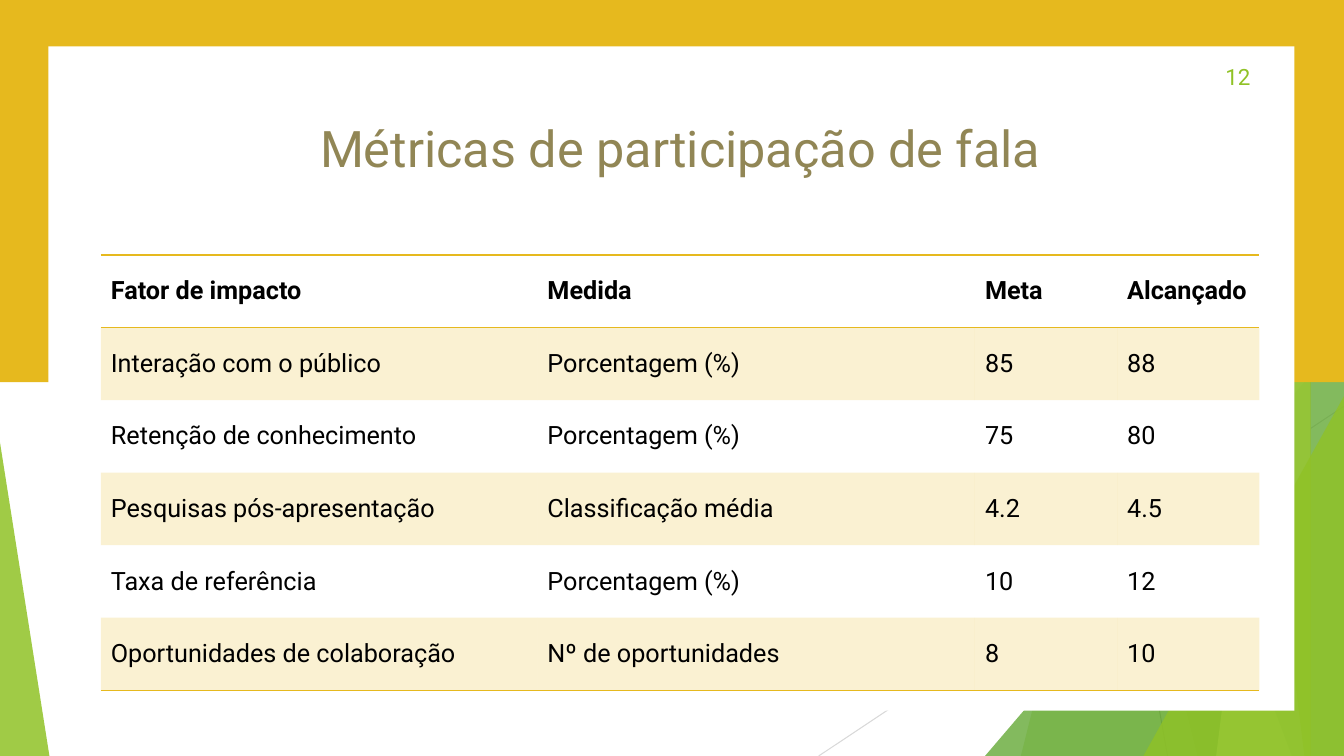
from dataclasses import dataclass

from lxml import etree
from pptx import Presentation
from pptx import util as u
from pptx.dml.color import RGBColor
from pptx.enum import shapes, text
from pptx.oxml.ns import qn


@dataclass(frozen=True)
class Theme:
    """Colours, font and type sizes of the slide."""
    font: str = "Roboto"
    gold: str = "E6B91E"
    white: str = "FFFFFF"
    black: str = "000000"
    olive: str = "918655"
    lime: str = "90C226"
    green: str = "54A021"
    forest: str = "3F7819"
    pale_lime: str = "C0E474"
    grey: str = "BFBFBF"
    light_grey: str = "D9D9D9"
    title_size: int = 36
    table_size: int = 18
    number_size: int = 16


THEME = Theme()
SLIDE_BOX = (0, 0, 13.33, 7.5)
GOLD_BOX = (0, 0, 13.33, 3.79)
PANEL_BOX = (0.48, 0.46, 12.36, 6.59)
TITLE_BOX = (1, 1.16, 11.5, 1.11)
TABLE_BOX = (1, 2.53, 11.49, 4.32)
NUMBER_BOX = (11.33, 0.5, 1.17, 0.52)

COLUMN_WIDTHS = (4.33, 4.34, 1.41, 1.41)
METRICS = (
    ("Fator de impacto", "Medida", "Meta", "Alcançado"),
    ("Interação com o público", "Porcentagem (%)", "85", "88"),
    ("Retenção de conhecimento", "Porcentagem (%)", "75", "80"),
    ("Pesquisas pós-apresentação", "Classificação média", "4.2", "4.5"),
    ("Taxa de referência", "Porcentagem (%)", "10", "12"),
    ("Oportunidades de colaboração", "Nº de oportunidades", "8", "10"),
)


def inches(box):
    """Turn a box in inches into lengths."""
    return [u.Inches(value) for value in box]


def set_fill(fill, parent, color, opacity=100):
    """Fill with a solid colour, see-through below 100 percent."""
    fill.solid()
    fill.fore_color.rgb = RGBColor.from_string(color)
    if opacity < 100:
        color_element = parent.find(qn("a:solidFill"))[0]
        etree.SubElement(color_element, qn("a:alpha"), val=str(opacity * 1000))


def paint(shape, color, opacity=100):
    """Give a shape a flat fill without line or shadow."""
    shape.shadow.inherit = False
    shape.line.fill.background()
    set_fill(shape.fill, shape.element.spPr, color, opacity)


def format_text(frame, content, size, color, bold=False, align=text.PP_ALIGN.LEFT):
    """Write one formatted paragraph into a text frame."""
    paragraph = frame.paragraphs[0]
    paragraph.alignment = align
    run = paragraph.add_run()
    run.text = content
    values = {"name": THEME.font, "size": u.Pt(size), "bold": bold}
    for name, value in values.items():
        setattr(run.font, name, value)
    run.font.color.rgb = RGBColor.from_string(color)


def set_frame(frame, values):
    """Set the attributes of a text frame."""
    for name, value in values.items():
        setattr(frame, name, value)


def add_rectangle(slide, box, color):
    """Add a flat rectangle that fills the box."""
    paint(slide.shapes.add_shape(shapes.MSO_SHAPE.RECTANGLE, *inches(box)), color)


def add_thin_line(slide, start, end, color):
    """Add a hairline between two points."""
    line = slide.shapes.add_connector(
        shapes.MSO_CONNECTOR.STRAIGHT, *inches(start + end))
    line.line.width = u.Pt(0.75)
    line.line.color.rgb = RGBColor.from_string(color)
    etree.SubElement(line.element.spPr, qn("a:effectLst"))


def add_facet(slide, box, top_x, bottom_x, color, opacity):
    """Add a full-height facet that runs to the right edge of the box."""
    left, top, width, height = box
    right, bottom = left + width, top + height
    builder = slide.shapes.build_freeform(left + top_x, top, scale=u.Inches(1))
    builder.add_line_segments(
        [(right, top), (right, bottom), (left + bottom_x, bottom)], close=True)
    paint(builder.convert_to_shape(), color, opacity)


def add_corner(slide, box, width, height, at_right, color, opacity):
    """Add a right-angled triangle in a bottom corner of the box."""
    left = box[0] + (box[2] - width if at_right else 0)
    top = box[1] + box[3] - height
    triangle = slide.shapes.add_shape(
        shapes.MSO_SHAPE.ISOSCELES_TRIANGLE, *inches((left, top, width, height)))
    triangle.adjustments[0] = int(at_right)
    paint(triangle, color, opacity)


def add_backdrop(slide, box):
    """Add the thin lines and green facets behind the panel."""
    left, top, width, height = box
    right, bottom = left + width, top + height
    add_thin_line(slide, (left + 10.25, top), (left + 11.58, bottom), THEME.grey)
    add_thin_line(slide, (right, top + 4.03), (left + 8.12, bottom), THEME.light_grey)
    parts = (
        (add_facet, 12.28, 10.04, THEME.lime, 30),
        (add_facet, 10.5, 11.83, THEME.lime, 20),
        (add_corner, 3.56, 4.17, True, THEME.green, 72),
        (add_facet, 10.21, 12.91, THEME.forest, 70),
        (add_facet, 13.03, 11.92, THEME.pale_lime, 70),
        (add_facet, 11.96, 13.18, THEME.lime, 65),
        (add_corner, 1.99, 3.57, True, THEME.lime, 80),
        (add_corner, 0.49, 3.11, False, THEME.lime, 85),
    )
    for add_part, *values in parts:
        add_part(slide, box, *values)


def add_title(slide, box, content):
    """Place the title placeholder in front of the panel."""
    title = slide.shapes.title
    title.element.getparent().append(title.element)
    title.left, title.top, title.width, title.height = inches(box)
    set_frame(title.text_frame, {
        "vertical_anchor": text.MSO_ANCHOR.TOP, "word_wrap": True,
        "auto_size": text.MSO_AUTO_SIZE.NONE, "margin_top": 0, "margin_bottom": 0})
    format_text(title.text_frame, content, THEME.title_size, THEME.olive,
                align=text.PP_ALIGN.CENTER)


def add_border(cell, side):
    """Draw a gold rule along one side of a cell."""
    line = etree.SubElement(cell._tc.get_or_add_tcPr(), qn(f"a:{side}"), w=str(u.Pt(1)))
    fill = etree.SubElement(line, qn("a:solidFill"))
    etree.SubElement(fill, qn("a:srgbClr"), val=THEME.gold)


def add_metrics_table(slide, box, rows):
    """Add the table with a ruled header and gold bands."""
    frame = slide.shapes.add_table(len(rows), len(rows[0]), *inches(box))
    table = frame.table
    style = table._tbl.tblPr.find(qn("a:tableStyleId"))
    style.text = "{2D5ABB26-0587-4C30-8999-92F81FD0307C}"
    for column, width in zip(table.columns, COLUMN_WIDTHS):
        column.width = u.Inches(width)
    for row_index, row in enumerate(rows):
        table.rows[row_index].height = u.Inches(box[3] / len(rows))
        is_header = row_index == 0
        for column_index, content in enumerate(row):
            cell = table.cell(row_index, column_index)
            cell.vertical_anchor = text.MSO_ANCHOR.MIDDLE
            format_text(cell.text_frame, content, THEME.table_size, THEME.black, is_header)
            if is_header:
                add_border(cell, "lnT")
            if is_header or row_index == len(rows) - 1:
                add_border(cell, "lnB")
            if row_index % 2:
                set_fill(cell.fill, cell._tc.tcPr, THEME.gold, 20)
            else:
                cell.fill.background()


def add_slide_number(slide, box, content):
    """Add the page number at the top right."""
    frame = slide.shapes.add_textbox(*inches(box)).text_frame
    set_frame(frame, {"word_wrap": True, "vertical_anchor": text.MSO_ANCHOR.MIDDLE})
    format_text(frame, content, THEME.number_size, THEME.lime, align=text.PP_ALIGN.RIGHT)


def main():
    """Build the metrics slide and save it."""
    presentation = Presentation()
    presentation.slide_width, presentation.slide_height = inches(SLIDE_BOX[2:])
    slide = presentation.slides.add_slide(presentation.slide_layouts.get_by_name("Title Only"))
    add_backdrop(slide, SLIDE_BOX)
    add_rectangle(slide, GOLD_BOX, THEME.gold)
    add_rectangle(slide, PANEL_BOX, THEME.white)
    add_title(slide, TITLE_BOX, "Métricas de participação de fala")
    add_metrics_table(slide, TABLE_BOX, METRICS)
    add_slide_number(slide, NUMBER_BOX, "12")
    presentation.save("out.pptx")


if __name__ == "__main__":
    main()
